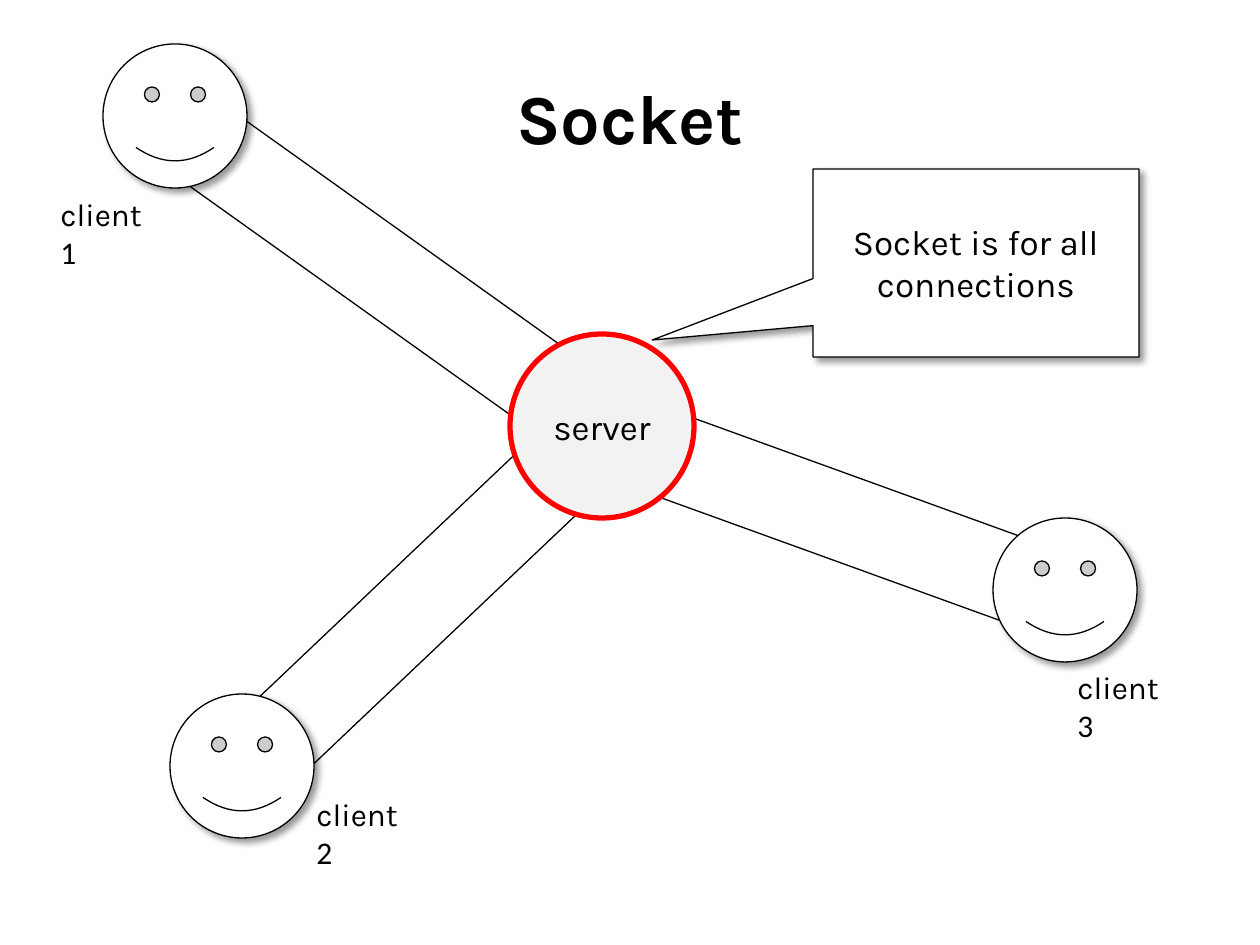
from lxml.etree import SubElement
from pptx import Presentation
from pptx.dml.color import RGBColor
from pptx.enum.shapes import MSO_SHAPE
from pptx.enum.text import MSO_ANCHOR, PP_ALIGN
from pptx.oxml.ns import qn
from pptx.util import Pt

PX = 914400 / 126
COLORS = {"ink": "000000", "paper": "FFFFFF", "server": "F2F2F2", "ring": "FF0000"}

# Content: boxes are (left, top, width, height) in px
TITLE = ("Socket", (0, 38, 1260, 158))
SERVER = ("server", (510, 334, 184, 184))
CALLOUT = ("Socket is for all connections", (813, 169, 326, 188), (-0.993, 0.41))
PIPES = [  # left, top, rotation
    (197, 558, 316.5),
    (617, 475, 19.9),
    (158, 229, 35.5),
]
PIPE_SIZE = (452, 86)
CLIENTS = [  # number, face corner, label corner
    (1, (103, 44), (48, 189)),
    (2, (170, 694), (304, 789)),
    (3, (993, 518), (1065, 662)),
]
FACE_SIZE = (144, 144)
LABEL_SIZE = (123, 50)


def emu(box):
    return [round(v * PX) for v in box]


def rgb(name):
    return RGBColor.from_string(COLORS[name])


def add_shadow(shape):
    effects = shape._element.spPr.find(qn("a:effectLst"))
    shadow = SubElement(effects, qn("a:outerShdw"), blurRad=str(Pt(4)),
                        dist=str(Pt(3)), dir=str(45 * 60000), rotWithShape="0")
    color = SubElement(shadow, qn("a:srgbClr"), val=COLORS["ink"])
    SubElement(color, qn("a:alpha"), val="40000")


def add_figure(slide, kind, box, fill="paper", line="ink", width=0.75, shadow=False):
    figure = slide.shapes.add_shape(kind, *emu(box))
    figure.shadow.inherit = False
    figure.fill.solid()
    figure.fill.fore_color.rgb = rgb(fill)
    figure.line.color.rgb = rgb(line)
    figure.line.width = Pt(width)
    if shadow:
        add_shadow(figure)
    return figure


def write(shape, text, size=20, bold=False, align=PP_ALIGN.CENTER,
          anchor=MSO_ANCHOR.MIDDLE, tail="", tail_font="Calibri"):
    frame = shape.text_frame
    frame.word_wrap = True
    frame.vertical_anchor = anchor
    paragraph = frame.paragraphs[0]
    paragraph.alignment = align
    for part, font_name in ((text, "Karla"), (tail, tail_font)):
        if part:
            run = paragraph.add_run()
            run.text = part
            run.font.name = font_name
            run.font.size = Pt(size)
            run.font.bold = bold
            run.font.color.rgb = rgb("ink")


def main():
    deck = Presentation()
    deck.slide_width, deck.slide_height = emu((1260, 945))
    slide = deck.slides.add_slide(deck.slide_layouts[6])

    # Pipes between the clients and the server
    for left, top, angle in PIPES:
        pipe = add_figure(slide, MSO_SHAPE.RECTANGLE, (left, top, *PIPE_SIZE))
        pipe.rotation = angle

    # Title
    title, title_box = TITLE
    write(slide.shapes.add_textbox(*emu(title_box)), title, size=40, bold=True)

    # Client faces
    for _, corner, _ in CLIENTS:
        add_figure(slide, MSO_SHAPE.SMILEY_FACE, (*corner, *FACE_SIZE), shadow=True)

    # Server
    server, server_box = SERVER
    write(add_figure(slide, MSO_SHAPE.OVAL, server_box, fill="server",
                     line="ring", width=3), server)

    # Client labels
    for number, _, corner in CLIENTS:
        label = slide.shapes.add_textbox(*emu((*corner, *LABEL_SIZE)))
        write(label, "client", size=18, align=PP_ALIGN.LEFT,
              anchor=MSO_ANCHOR.TOP, tail=f" {number}")

    # Callout pointing at the server
    remark, remark_box, tip = CALLOUT
    callout = add_figure(slide, MSO_SHAPE.RECTANGULAR_CALLOUT, remark_box, shadow=True)
    callout.adjustments[0], callout.adjustments[1] = tip
    write(callout, remark)

    deck.save("out.pptx")


if __name__ == "__main__":
    main()
